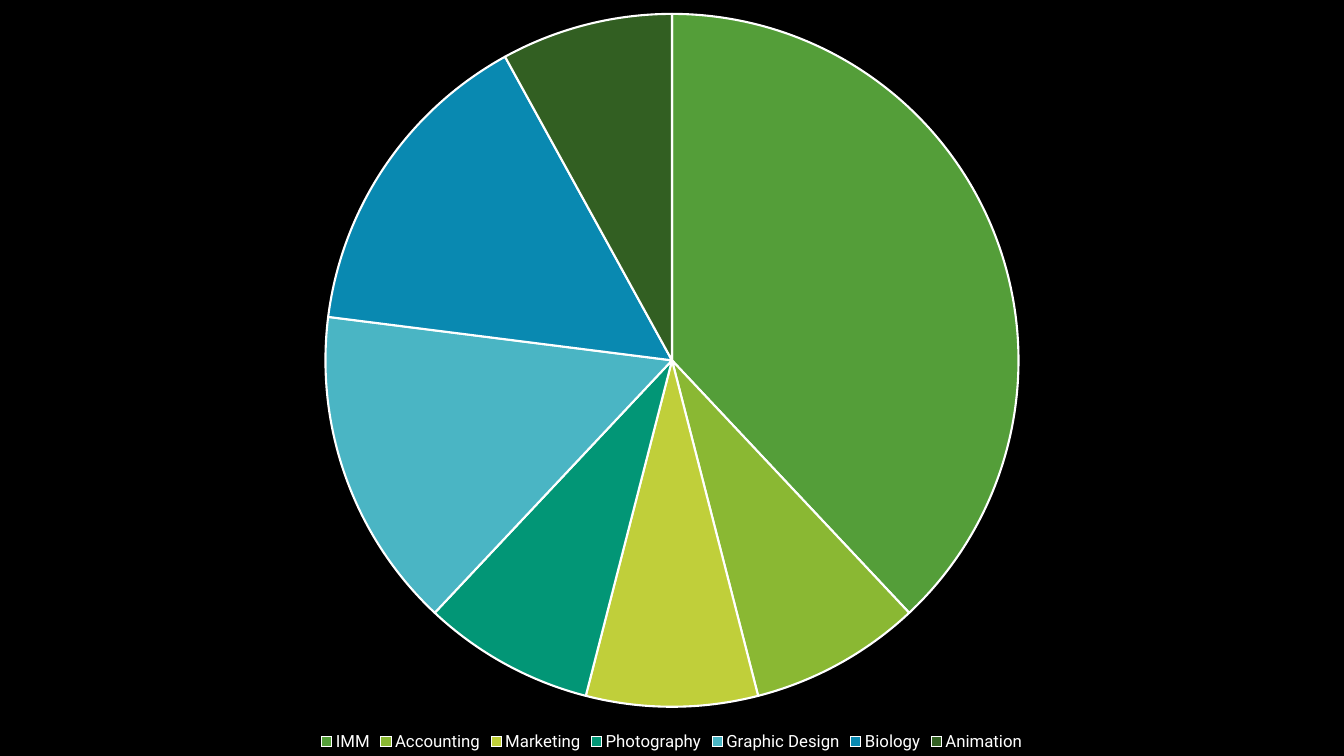
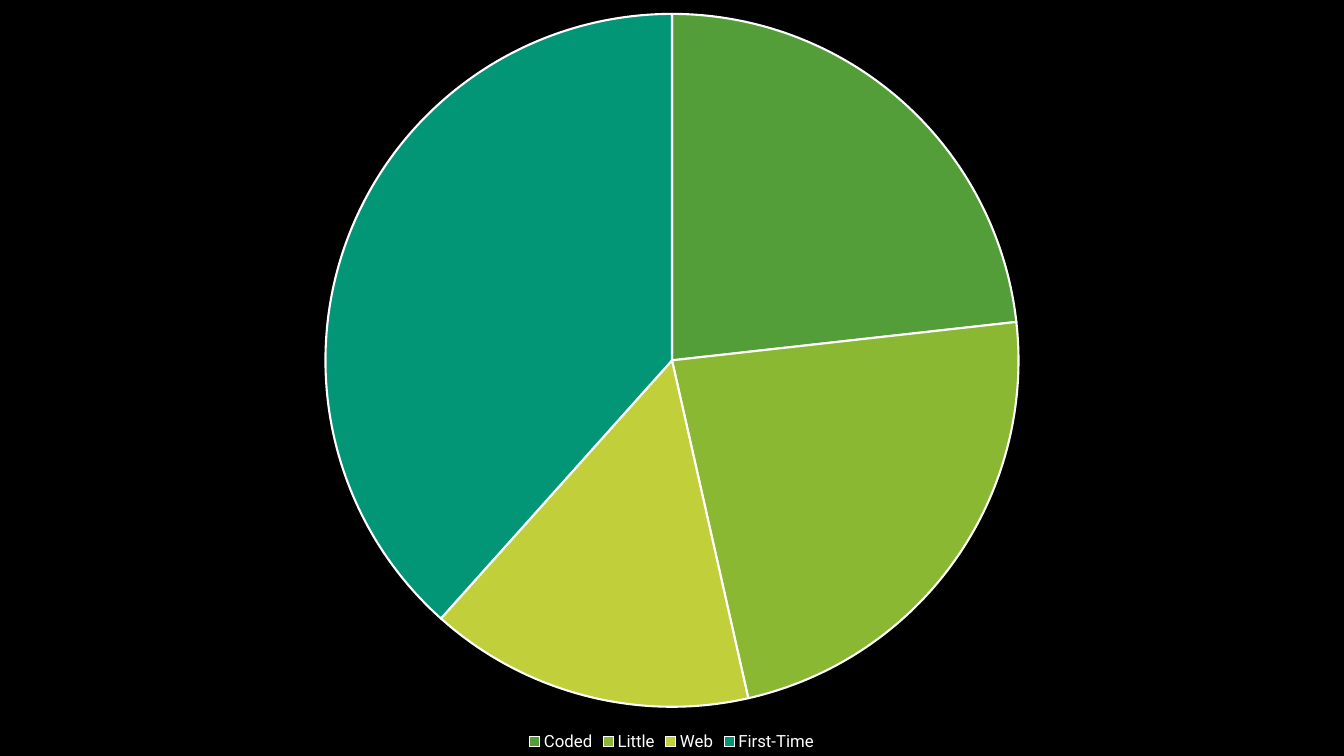
from dataclasses import dataclass

from pptx import Presentation
from pptx import util as u
from pptx.chart.chart import Chart
from pptx.chart.data import CategoryChartData
from pptx.dml.color import RGBColor
from pptx.enum import chart as ch
from pptx.presentation import Presentation as Deck
from pptx.text.text import Font


# Theme: colours and type sizes
@dataclass(frozen=True)
class Theme:
    background: str = "000000"
    text: str = "FFFFFF"
    font: str = "Roboto"
    chart_size: float = 10
    legend_size: float = 12
    outline_width: float = 1.5
    slices: tuple[str, ...] = (
        "549E39", "8AB833", "C0CF3A", "029676", "4AB5C4", "0989B1", "325F22",
    )


@dataclass(frozen=True)
class Survey:
    shares: dict[str, int]


THEME = Theme()
BLANK_LAYOUT = 6

SURVEYS = (
    # Majors
    Survey({"IMM": 38, "Accounting": 8, "Marketing": 8, "Photography": 8,
            "Graphic Design": 15, "Biology": 15, "Animation": 8}),
    # Coding experience
    Survey({"Coded": 23, "Little": 23, "Web": 15, "First-Time": 38}),
)


def style_font(font: Font, size: float) -> None:
    font.name = THEME.font
    font.size = u.Pt(size)
    font.color.rgb = RGBColor.from_string(THEME.text)


def style_slices(chart: Chart, count: int) -> None:
    series = chart.plots[0].series[0]
    for i, colour in enumerate(THEME.slices[:count]):
        fmt = series.points[i].format
        fmt.fill.solid()
        fmt.fill.fore_color.rgb = RGBColor.from_string(colour)
        fmt.line.color.rgb = RGBColor.from_string(THEME.text)
        fmt.line.width = u.Pt(THEME.outline_width)


def add_pie_slide(prs: Deck, survey: Survey) -> None:
    s = prs.slides.add_slide(prs.slide_layouts[BLANK_LAYOUT])
    data = CategoryChartData()
    data.categories = list(survey.shares)
    data.add_series("Series 1", list(survey.shares.values()))

    # Chart centred across the full slide height
    width = u.Inches(11.25)
    left = (prs.slide_width - width) // 2
    chart = s.shapes.add_chart(
        ch.XL_CHART_TYPE.PIE, left, 0, width, prs.slide_height, data
    ).chart
    chart.has_title = False
    chart.plots[0].vary_by_categories = True
    style_font(chart.font, THEME.chart_size)
    style_slices(chart, len(survey.shares))

    # Legend
    chart.has_legend = True
    chart.legend.position = ch.XL_LEGEND_POSITION.BOTTOM
    chart.legend.include_in_layout = False
    style_font(chart.legend.font, THEME.legend_size)


def main() -> None:
    prs = Presentation()
    prs.slide_width, prs.slide_height = u.Inches(13.33), u.Inches(7.5)

    # Shared background
    fill = prs.slide_master.background.fill
    fill.solid()
    fill.fore_color.rgb = RGBColor.from_string(THEME.background)

    for survey in SURVEYS:
        add_pie_slide(prs, survey)
    prs.save("out.pptx")


main()
